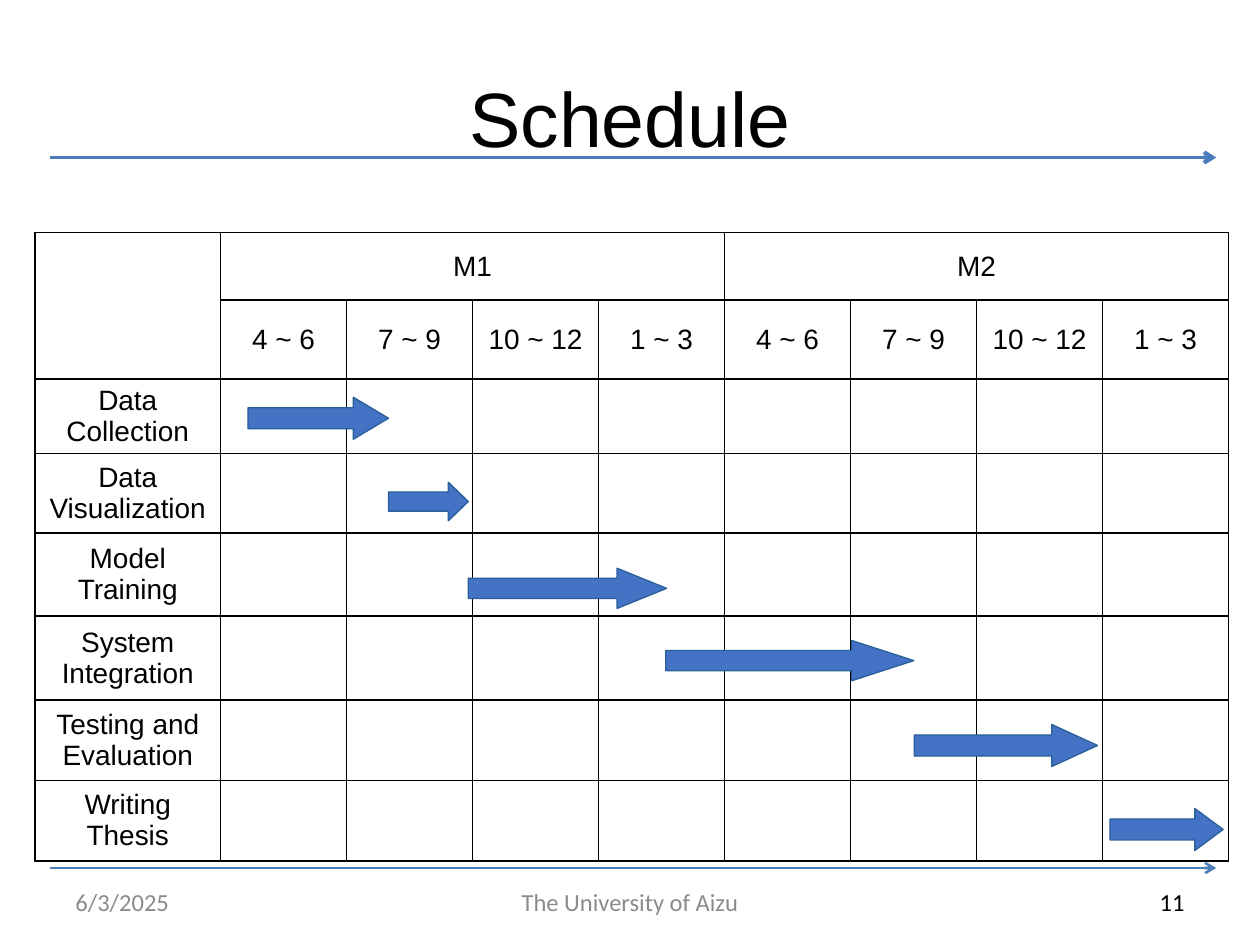
"""Build a two-year schedule slide with a Gantt-style table."""
from dataclasses import dataclass

import pptx
import pptx.dml.color
import pptx.enum.shapes
import pptx.enum.text
import pptx.oxml
import pptx.oxml.ns
import pptx.util

Pt = pptx.util.Pt
RGBColor = pptx.dml.color.RGBColor
PP_ALIGN = pptx.enum.text.PP_ALIGN
MSO_ANCHOR = pptx.enum.text.MSO_ANCHOR

BLACK = RGBColor(0x00, 0x00, 0x00)
GREY = RGBColor(0x8B, 0x8B, 0x8B)
RULE_BLUE = RGBColor(0x4A, 0x7E, 0xBB)
BAR_FILL = RGBColor(0x44, 0x72, 0xC4)
BAR_LINE = RGBColor(0x2A, 0x60, 0x99)

YEARS = ["M1", "M2"]
QUARTERS = ["4 ~ 6", "7 ~ 9", "10 ~ 12", "1 ~ 3"]
TABLE_LEFT, TABLE_TOP = 20, 133
LABEL_WIDTH, QUARTER_WIDTH = 106, 72
HEADER_HEIGHTS = [38.5, 45]
HEAD_SHARE = 0.25


@dataclass(frozen=True)
class Task:
    name: str
    row_height: float
    start: float
    end: float
    top: float
    bar_height: float


@dataclass(frozen=True)
class Label:
    text: str
    left: float
    top: float
    width: float
    height: float
    size: float
    font: str
    color: RGBColor
    align: PP_ALIGN
    inset: float = 7.2


@dataclass(frozen=True)
class Rule:
    y: float
    weight: float


TASKS = [
    Task("Data Collection", 42.7, 141.7, 222, 227, 24),
    Task("Data Visualization", 45.3, 222, 267.6, 275.6, 22),
    Task("Model Training", 47.5, 267.6, 381, 324.7, 23),
    Task("System Integration", 48, 380.4, 522.2, 366, 23),
    Task("Testing and Evaluation", 46, 522.5, 627.2, 414, 24),
    Task("Writing Thesis", 46, 634.3, 699, 462, 24),
]
LABELS = [
    Label("Schedule", 36, 21.6, 648, 90, 44, "Arial", BLACK, PP_ALIGN.CENTER, 0),
    Label("6/3/2025", 36, 500.5, 168, 29, 14, "Calibri", GREY, PP_ALIGN.LEFT),
    Label("The University of Aizu", 246, 500.5, 228, 29, 14, "Calibri", GREY, PP_ALIGN.CENTER),
    Label("11", 516, 500.5, 168, 29, 14, "Calibri", BLACK, PP_ALIGN.RIGHT),
]
RULES = [Rule(496, 1.5), Rule(90, 2.25)]


def style_paragraph(p, size: float, font: str, color: RGBColor, align: PP_ALIGN) -> None:
    """Set alignment and font of a paragraph."""
    p.alignment = align
    p.font.size = Pt(size)
    p.font.name = font
    p.font.color.rgb = color


def add_rule(s, rule: Rule) -> None:
    """Draw a horizontal line with an arrowhead at its right end."""
    sp = s.shapes.add_connector(
        pptx.enum.shapes.MSO_CONNECTOR.STRAIGHT, Pt(28.4), Pt(rule.y), Pt(695), Pt(rule.y))
    sp.line.color.rgb = RULE_BLUE
    sp.line.width = Pt(rule.weight)
    ln = sp.line._get_or_add_ln()
    pptx.oxml.ns.qn("a:tailEnd")
    ln.append(pptx.oxml.parse_xml(
        f'<a:tailEnd {pptx.oxml.ns.nsdecls("a")} type="arrow"/>'))
    sp._element.spPr.append(pptx.oxml.parse_xml(
        f'<a:effectLst {pptx.oxml.ns.nsdecls("a")}/>'))


def add_label(s, label: Label) -> None:
    """Add a single-paragraph text box."""
    sp = s.shapes.add_textbox(Pt(label.left), Pt(label.top), Pt(label.width), Pt(label.height))
    tf = sp.text_frame
    tf.word_wrap = True
    tf.vertical_anchor = MSO_ANCHOR.MIDDLE
    tf.margin_left = tf.margin_right = Pt(label.inset)
    tf.margin_top = tf.margin_bottom = Pt(label.inset / 2)
    p = tf.paragraphs[0]
    p.text = label.text
    style_paragraph(p, label.size, label.font, label.color, label.align)


def style_cell(cell) -> None:
    """Clear a cell's fill, centre its text and give it thin black borders."""
    tc_pr = cell._tc.get_or_add_tcPr()
    for side in ("lnL", "lnR", "lnT", "lnB"):
        tc_pr.append(pptx.oxml.parse_xml(
            f'<a:{side} {pptx.oxml.ns.nsdecls("a")} w="{Pt(1)}"><a:solidFill>'
            f'<a:srgbClr val="{BLACK}"/></a:solidFill></a:{side}>'))
    cell.fill.background()
    cell.vertical_anchor = MSO_ANCHOR.MIDDLE
    style_paragraph(cell.text_frame.paragraphs[0], 16, "Arial", BLACK, PP_ALIGN.CENTER)


def add_schedule(s) -> None:
    """Add the table of tasks against quarters."""
    heights = HEADER_HEIGHTS + [task.row_height for task in TASKS]
    widths = [LABEL_WIDTH] + [QUARTER_WIDTH] * len(YEARS) * len(QUARTERS)
    table = s.shapes.add_table(
        len(heights), len(widths), Pt(TABLE_LEFT), Pt(TABLE_TOP),
        Pt(sum(widths)), Pt(sum(heights))).table
    table.first_row = table.horz_banding = False
    for row, height in zip(table.rows, heights):
        row.height = Pt(height)
    for column, width in zip(table.columns, widths):
        column.width = Pt(width)

    table.cell(0, 0).merge(table.cell(1, 0))
    for i, year in enumerate(YEARS):
        first = 1 + i * len(QUARTERS)
        table.cell(0, first).merge(table.cell(0, first + len(QUARTERS) - 1))
        table.cell(0, first).text = year
        for j, quarter in enumerate(QUARTERS):
            table.cell(1, first + j).text = quarter
    for i, task in enumerate(TASKS, len(HEADER_HEIGHTS)):
        table.cell(i, 0).text = task.name
    for cell in table.iter_cells():
        style_cell(cell)


def add_bar(s, task: Task) -> None:
    """Draw the block arrow that spans a task's period."""
    width = task.end - task.start
    sp = s.shapes.add_shape(
        pptx.enum.shapes.MSO_SHAPE.RIGHT_ARROW,
        Pt(task.start), Pt(task.top), Pt(width), Pt(task.bar_height))
    sp.adjustments[0] = 0.5
    sp.adjustments[1] = HEAD_SHARE * width / task.bar_height
    sp.shadow.inherit = False
    sp.fill.solid()
    sp.fill.fore_color.rgb = BAR_FILL
    sp.line.color.rgb = BAR_LINE
    sp.line.width = Pt(0)


def main() -> None:
    """Assemble and save the slide."""
    prs = pptx.Presentation()
    prs.slide_width, prs.slide_height = Pt(720), Pt(540)
    s = prs.slides.add_slide(prs.slide_layouts[6])
    for rule in RULES:
        add_rule(s, rule)
    add_schedule(s)
    for task in TASKS:
        add_bar(s, task)
    for label in LABELS:
        add_label(s, label)
    prs.save("out.pptx")


if __name__ == "__main__":
    main()
